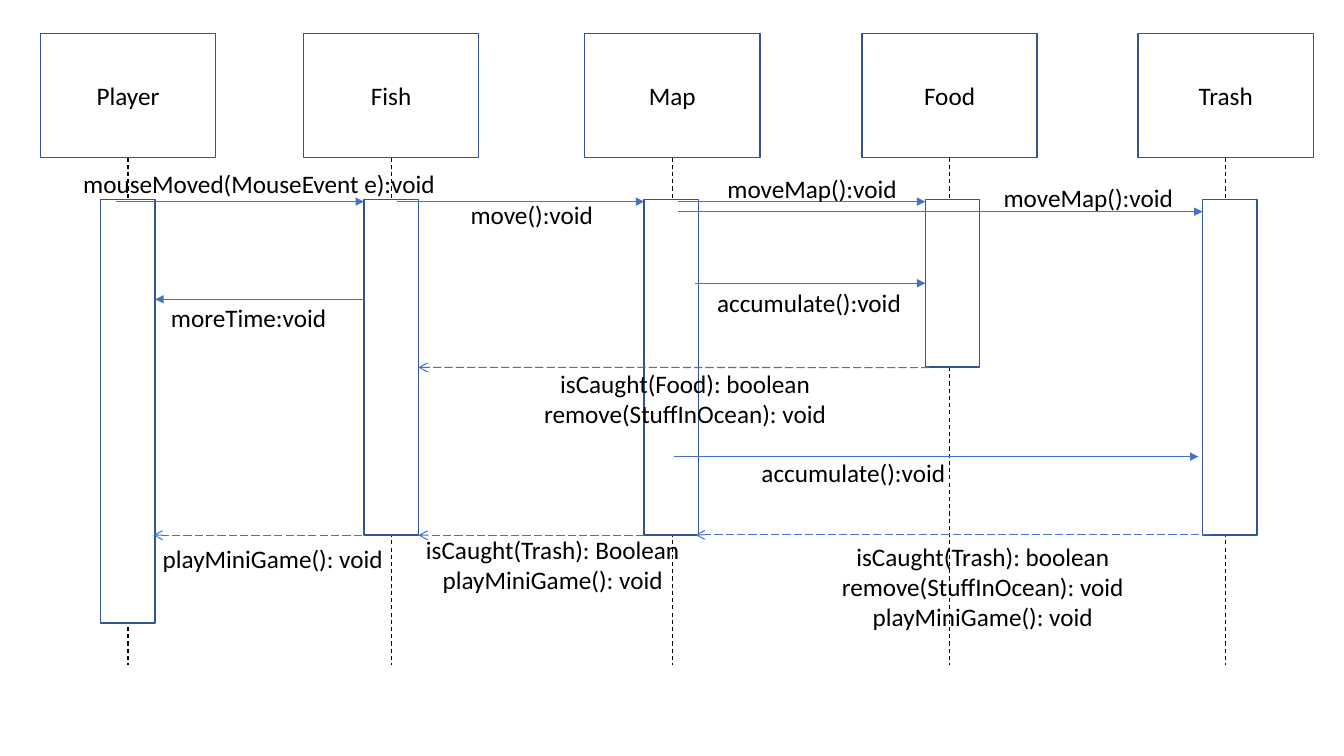
from dataclasses import dataclass
from typing import NamedTuple, Optional

from lxml.etree import SubElement
from pptx import Presentation
from pptx.dml.color import RGBColor
from pptx.enum.dml import MSO_LINE
from pptx.enum.shapes import MSO_CONNECTOR, MSO_SHAPE
from pptx.enum.text import MSO_ANCHOR, PP_ALIGN
from pptx.oxml.ns import qn
from pptx.shapes.autoshape import Shape
from pptx.shapes.connector import Connector
from pptx.slide import Slide
from pptx.text.text import TextFrame
from pptx.util import Inches, Length, Pt

# Grid: 40 columns by 22.5 rows of square cells
WIDE, HIGH = Inches(13.333), Inches(7.5)
COLS, ROWS = 40, 22.5


@dataclass(frozen=True)
class Theme:
    font: str = "Calibri"
    size: Length = Pt(18)
    ink: RGBColor = RGBColor(0, 0, 0)
    paper: RGBColor = RGBColor(255, 255, 255)
    edge: RGBColor = RGBColor(0x32, 0x54, 0x91)
    arrow: RGBColor = RGBColor(0x44, 0x72, 0xC4)
    edge_width: Length = Pt(1)


THEME = Theme()


class Pen(NamedTuple):
    color: RGBColor
    width: Length
    dash: Optional[MSO_LINE] = None
    tip: Optional[str] = None


LIFE = Pen(THEME.ink, Pt(0.75), MSO_LINE.DASH)
CALL = Pen(THEME.arrow, Pt(0.5), None, "triangle")
REPLY = Pen(THEME.arrow, Pt(0.75), MSO_LINE.LONG_DASH, "arrow")


class Lane(NamedTuple):
    name: str
    mid: float
    bar_mid: float
    bar_rows: float


class Signal(NamedTuple):
    start: float
    end: float
    row: float
    pen: Pen = CALL
    target: Optional[str] = None
    side: int = 1


class Label(NamedTuple):
    mid: float
    top: float
    width: float
    lines: tuple[str, ...]


# Lanes share the head size, the bar width and the bar top
HEAD_TOP, HEAD_W, HEAD_H = 1, 5.22, 3.69
BAR_TOP, BAR_W = 5.94, 1.62
FOOT = 19.8
LINE_H = 0.92

LANES = (
    Lane("Player", 3.81, 3.81, 12.6),
    Lane("Fish", 11.64, 11.64, 9.99),
    Lane("Map", 20.01, 19.98, 9.99),
    Lane("Food", 28.26, 28.35, 4.98),
    Lane("Trash", 36.48, 36.6, 9.99),
)

SIGNALS = (
    Signal(3.45, 10.83, 6),
    Signal(11.82, 19.17, 6),
    Signal(20.19, 35.79, 6.3),
    Signal(20.19, 27.54, 6),
    Signal(10.83, 4.62, 8.91),
    Signal(20.7, 27.54, 8.43, CALL, "Food", 1),
    Signal(20.07, 35.67, 13.59),
    Signal(27.66, 12.45, 10.94, REPLY, "Fish", 3),
    Signal(36.03, 20.7, 15.92, REPLY),
    Signal(19.17, 12.45, 15.93, REPLY),
    Signal(10.77, 4.56, 15.93, REPLY),
)

LABELS = (
    Label(7.71, 5.01, 12.12, ("mouseMoved(MouseEvent e):void",)),
    Label(24.17, 5.16, 6.87, ("moveMap():void",)),
    Label(15.83, 5.94, 6.87, ("move():void",)),
    Label(20.39, 10.97, 9.15, ("isCaught(Food): boolean", "remove(StuffInOcean): void")),
    Label(32.39, 5.43, 6.87, ("moveMap():void",)),
    Label(7.4, 9, 6.87, ("moreTime:void",)),
    Label(29.25, 16.1, 9.24, ("isCaught(Trash): boolean", "remove(StuffInOcean): void",
                              "playMiniGame(): void")),
    Label(24.08, 8.55, 6.87, ("accumulate():void",)),
    Label(25.4, 13.62, 6.87, ("accumulate():void",)),
    Label(16.45, 15.91, 8.55, ("isCaught(Trash): Boolean", "playMiniGame(): void")),
    Label(8.12, 16.17, 7.5, ("playMiniGame(): void",)),
)


def across(cols: float) -> Length:
    return Length(round(WIDE * cols / COLS))


def down(rows: float) -> Length:
    return Length(round(HIGH * rows / ROWS))


def apply(item: object, form: dict[str, object]) -> None:
    for key, value in form.items():
        setattr(item, key, value)


def write(frame: TextFrame, lines: tuple[str, ...], form: dict[str, object]) -> None:
    apply(frame, {"word_wrap": True, **form})
    frame.text = "\n".join(lines)
    for para in frame.paragraphs:
        para.alignment = PP_ALIGN.CENTER
        apply(para.font, {"name": THEME.font, "size": THEME.size})
        para.font.color.rgb = THEME.ink


def add_box(slide: Slide, mid: float, top: float, width: float, height: float) -> Shape:
    box = slide.shapes.add_shape(MSO_SHAPE.RECTANGLE, across(mid - width / 2),
                                 down(top), across(width), down(height))
    box.shadow.inherit = False
    box.fill.background()
    box.line.color.rgb = THEME.edge
    box.line.width = THEME.edge_width
    return box


def add_link(slide: Slide, x1: float, y1: float, x2: float, y2: float, pen: Pen) -> Connector:
    link = slide.shapes.add_connector(MSO_CONNECTOR.STRAIGHT, across(x1), down(y1),
                                      across(x2), down(y2))
    link.line.color.rgb = pen.color
    apply(link.line, {"width": pen.width, "dash_style": pen.dash})
    props = link.element.spPr
    if pen.tip:
        SubElement(props.find(qn("a:ln")), qn("a:tailEnd"), type=pen.tip)
    SubElement(props, qn("a:effectLst"))
    return link


def add_label(slide: Slide, label: Label) -> None:
    box = slide.shapes.add_textbox(across(label.mid - label.width / 2), down(label.top),
                                   across(label.width), down(LINE_H * len(label.lines)))
    write(box.text_frame, label.lines,
          {"margin_top": 0, "margin_bottom": 0, "vertical_anchor": MSO_ANCHOR.TOP})


def main() -> None:
    deck = Presentation()
    apply(deck, {"slide_width": WIDE, "slide_height": HIGH})
    slide = deck.slides.add_slide(deck.slide_layouts[6])

    # Heads and lifelines
    for lane in LANES:
        head = add_box(slide, lane.mid, HEAD_TOP, HEAD_W, HEAD_H)
        write(head.text_frame, (lane.name,), {"vertical_anchor": MSO_ANCHOR.MIDDLE})
        life = add_link(slide, lane.mid, HEAD_TOP + HEAD_H, lane.mid, FOOT, LIFE)
        life.begin_connect(head, 2)

    # Activation bars
    bars: dict[str, Shape] = {}
    for lane in LANES:
        bar = add_box(slide, lane.bar_mid, BAR_TOP, BAR_W, lane.bar_rows)
        bar.fill.solid()
        bar.fill.fore_color.rgb = THEME.paper
        bars[lane.name] = bar

    # Messages and their labels
    for sig in SIGNALS:
        link = add_link(slide, sig.start, sig.row, sig.end, sig.row, sig.pen)
        if sig.target:
            link.end_connect(bars[sig.target], sig.side)
    for label in LABELS:
        add_label(slide, label)

    deck.save("out.pptx")


if __name__ == "__main__":
    main()
